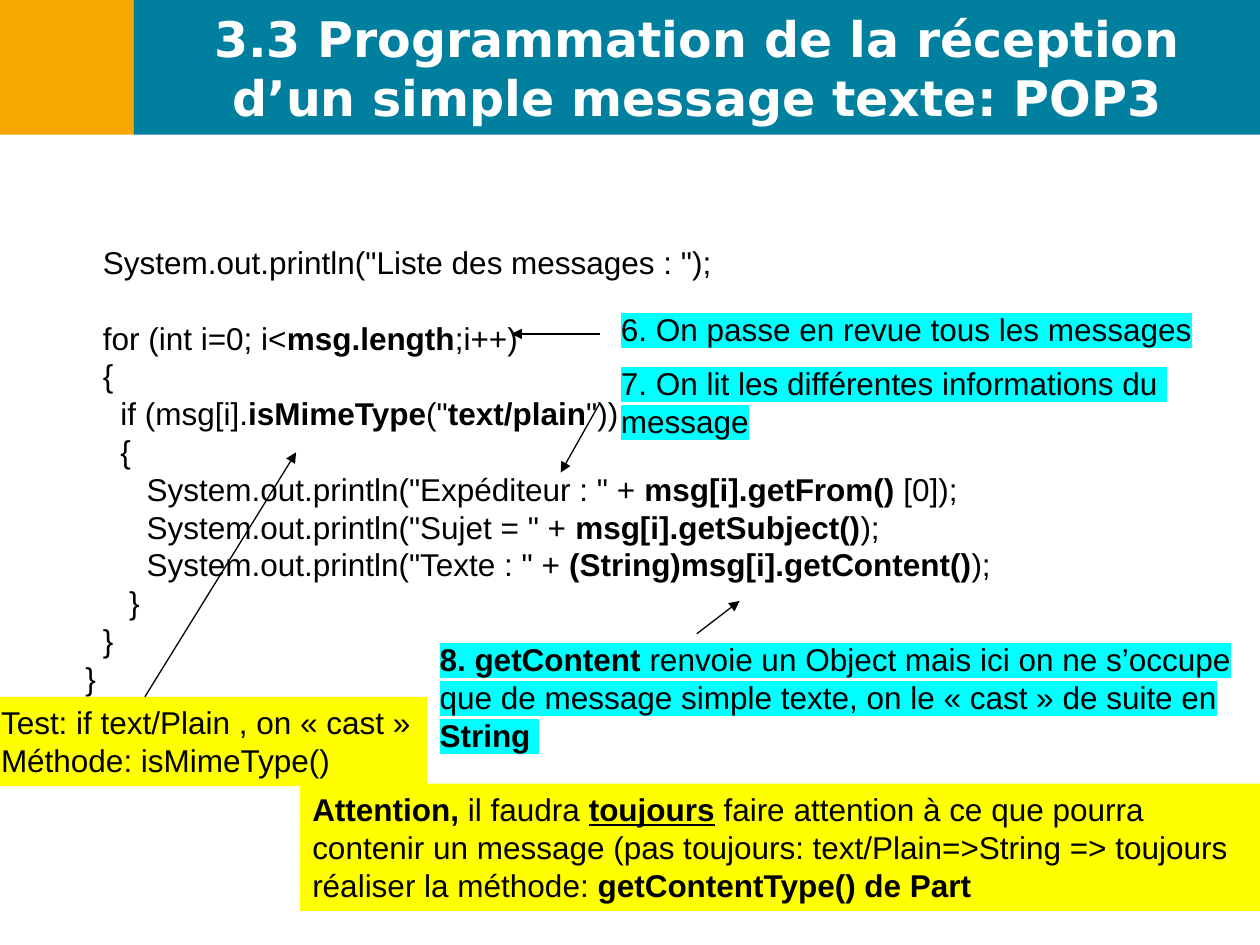
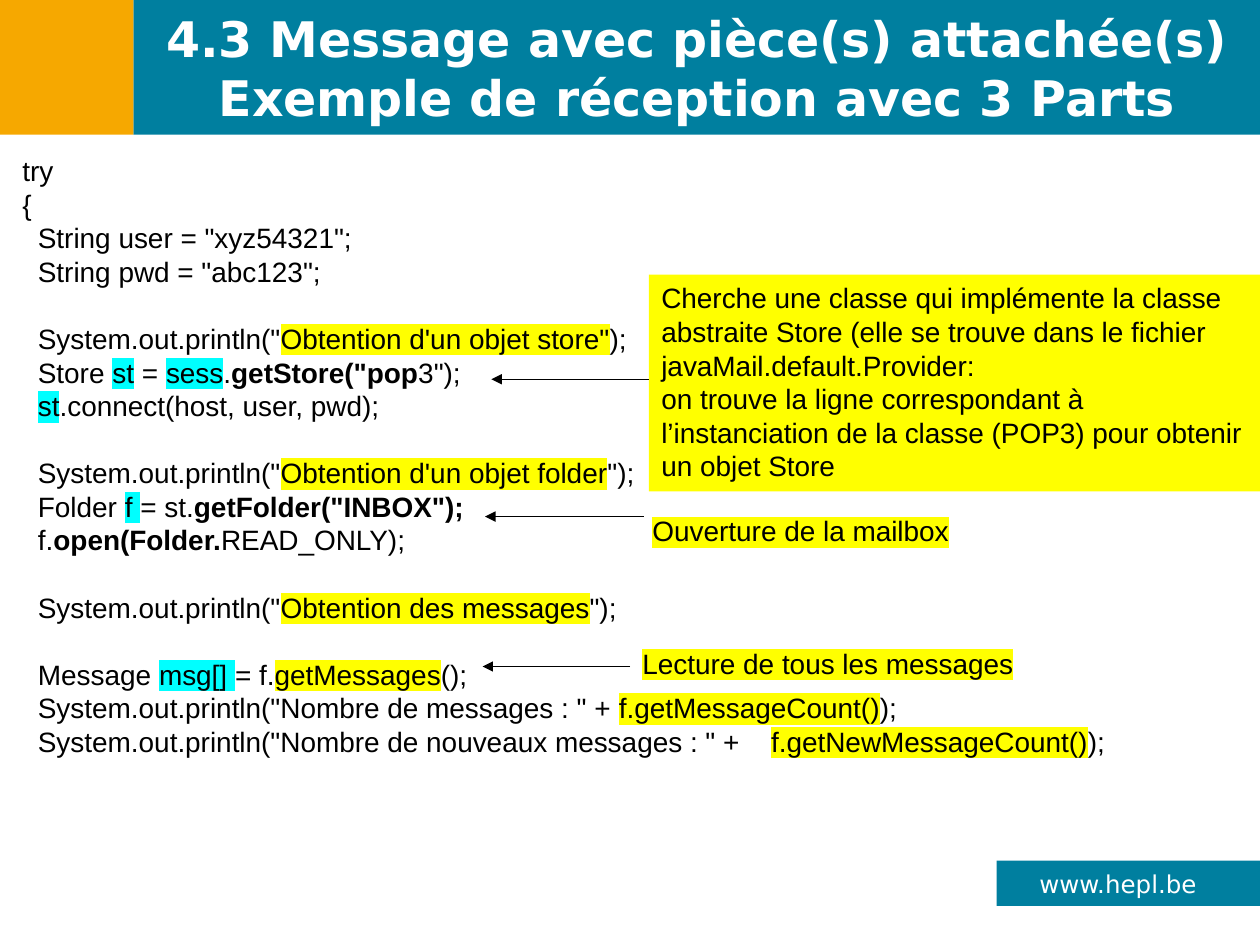
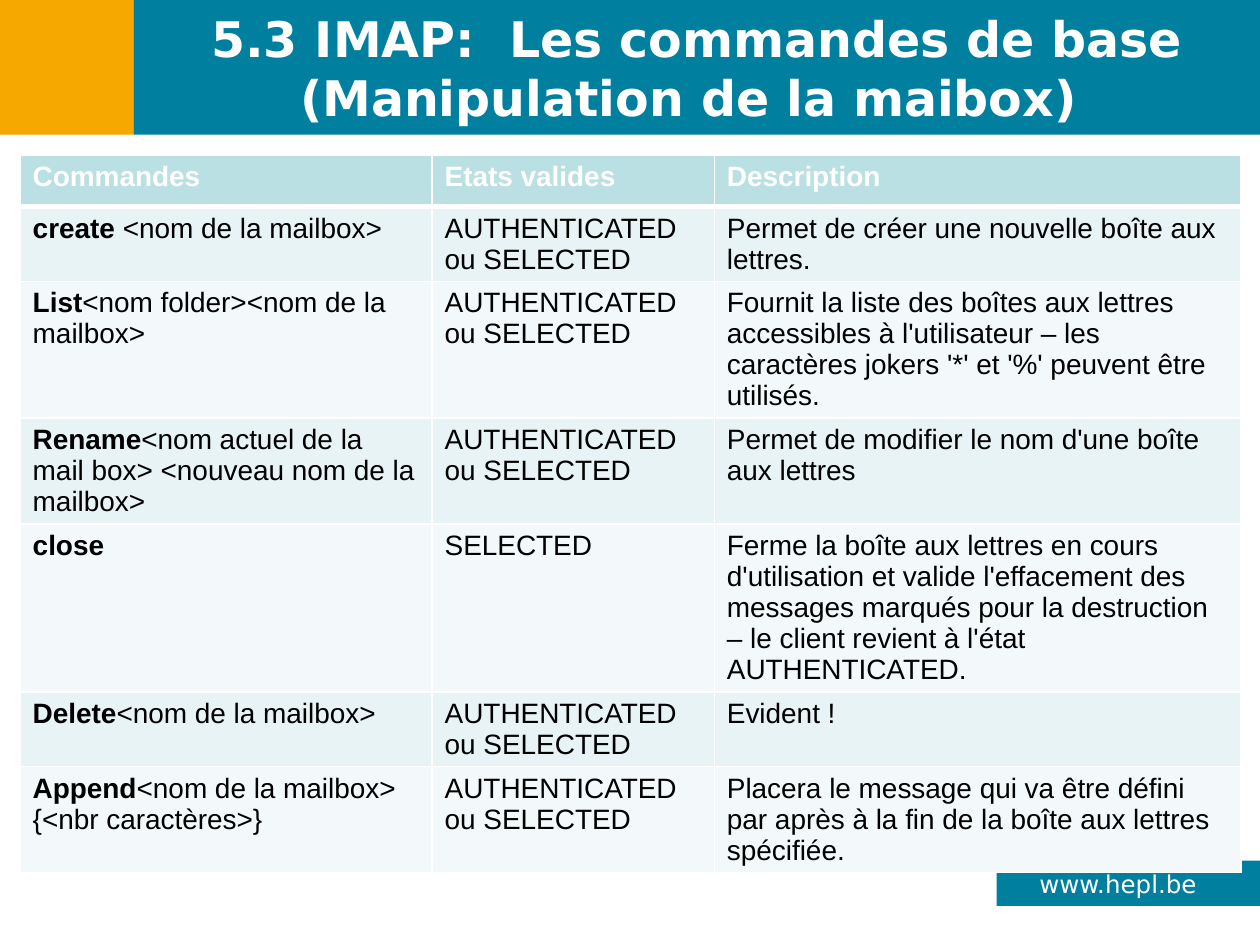
from lxml import etree
from pptx import Presentation
from pptx.dml.color import RGBColor
from pptx.enum.shapes import MSO_CONNECTOR, MSO_SHAPE
from pptx.enum.text import MSO_ANCHOR, MSO_AUTO_SIZE, PP_ALIGN
from pptx.oxml.ns import qn
from pptx.util import Inches, Pt

RECT = MSO_SHAPE.RECTANGLE
STRAIGHT = MSO_CONNECTOR.STRAIGHT
TOP, MIDDLE = MSO_ANCHOR.TOP, MSO_ANCHOR.MIDDLE
LEFT, CENTER = PP_ALIGN.LEFT, PP_ALIGN.CENTER
FIXED = MSO_AUTO_SIZE.NONE

COLORS = {
    "teal": "007F9F", "orange": "F6A800", "white": "FFFFFF", "black": "000000",
    "yellow": "FFFF00", "cyan": "00FFFF",
    "head": "BBE0E3", "odd": "E7F3F4", "even": "F3F9FA",
}
HIGHLIGHTS = {"c": "cyan", "y": "yellow"}
BODY_FONT, TITLE_FONT = "Arial", "DejaVu Sans"
BAND_H = 1.07
TITLE_AT = (1.06, 0, 8.94, BAND_H)
BANDS = [
    (TITLE_AT, "teal"),
    ((7.91, 6.83, 2.09, 0.36), "teal"),
    ((0, 0, 1.06, BAND_H), "orange"),
]
FOOTER_TEXT_AT = (8.15, 6.84, 1.73, 0.34)
FOOTER = "www.hepl.be"

# Each run is a string, or a pair (text, styles): b bold, u underlined, c or y highlighted.
CODE_SLIDES = [
    {
        "title": ["3.3 Programmation de la réception d’un simple message texte: POP3"],
        "footer": False,
        "size": 18,
        "code_at": (0.58, 1.88, 9.21, 3.74),
        "code": [
            ['  System.out.println("Liste des messages : ");'],
            [],
            ["  for (int i=0; i<", ("msg.length", "b"), ";i++)"],
            ["  {"],
            ["    if (msg[i].", ("isMimeType", "b"), '("', ("text/plain", "b"), '"))'],
            ["    {"],
            ['       System.out.println("Expéditeur : " + ', ("msg[i].getFrom() ", "b"), "[0]);"],
            ['       System.out.println("Sujet = " + ', ("msg[i].getSubject()", "b"), ");"],
            ['       System.out.println("Texte : " + ', ("(String)msg[i].getContent()", "b"), ");"],
            ["     }"],
            ["  }"],
            ["}"],
        ],
        "notes": [
            {"at": (4.83, 2.41, 4.77, 0.4), "wrap": False,
             "text": [[("6. On passe en revue tous les messages", "c")]]},
            {"at": (4.83, 2.84, 4.57, 0.71), "wrap": False,
             "text": [[("7. On lit les différentes informations du ", "c")], [("message", "c")]]},
            {"at": (3.39, 5.03, 6.61, 1.01),
             "text": [[("8. getContent", "bc"),
                       (" renvoie un Object mais ici on ne s’occupe que de message simple "
                        "texte, on le «\u00a0cast\u00a0» de suite en ", "c"),
                       ("String ", "bc")]]},
            {"at": (2.38, 6.22, 7.62, 1.01), "fill": "yellow",
             "text": [[("Attention,", "b"), " il faudra ", ("toujours", "bu"),
                       " faire attention à ce que pourra contenir un message (pas toujours: "
                       "text/Plain=>String => toujours réaliser la méthode: ",
                       ("getContentType() de Part", "b")]]},
            {"at": (-0.09, 5.53, 3.48, 0.71), "fill": "yellow", "wrap": False,
             "text": [["Test: if text/Plain , on «\u00a0cast\u00a0»"],
                      ["Méthode: isMimeType()"]]},
        ],
        "arrows": [
            ((4.76, 2.65), (4.06, 2.65)),
            ((4.76, 3.2), (4.45, 3.75)),
            ((5.53, 5.03), (5.87, 4.77)),
            ((1.15, 5.53), (2.35, 3.59)),
        ],
    },
    {
        "title": ["4.3 Message avec pièce(s) attachée(s)", "Exemple de réception avec 3 Parts"],
        "footer": True,
        "size": 16,
        "code_at": (0.08, 1.17, 9.53, 5.76),
        "code": [
            ["try"],
            ["{"],
            ['  String user = "xyz54321";'],
            ['  String pwd = "abc123";'],
            [],
            ['  System.out.println("', ("Obtention d'un objet store\"", "y"), ");"],
            ["  Store ", ("st", "c"), " = ", ("sess", "c"), ".", ('getStore("pop', "b"), '3");'],
            ["  ", ("st", "c"), ".connect(host, user, pwd);"],
            [],
            ['  System.out.println("', ("Obtention d'un objet folder", "y"), '");'],
            ["  Folder ", ("f ", "c"), "= st.", ('getFolder("INBOX");', "b")],
            ["  f.", ("open(Folder.", "b"), "READ_ONLY);"],
            [],
            ['  System.out.println("', ("Obtention des messages", "y"), '");'],
            [],
            ["  Message ", ("msg[] ", "c"), "= f.", ("getMessages", "y"), "();"],
            ['  System.out.println("Nombre de messages : " + ',
             ("f.getMessageCount()", "y"), ");"],
            ['  System.out.println("Nombre de nouveaux messages : " +    ',
             ("f.getNewMessageCount()", "y"), ");"],
        ],
        "notes": [
            {"at": (5.15, 2.18, 4.88, 1.72), "fill": "yellow",
             "text": [[("Cherche une classe qui implémente la classe abstraite Store (elle se "
                        "trouve dans le fichier javaMail.default.Provider:", "y")],
                      [("on trouve la ligne correspondant à l’instanciation de la classe "
                        "(POP3) pour obtenir un objet Store", "y")]]},
            {"at": (5.08, 4.03, 2.58, 0.37), "wrap": False,
             "text": [[("Ouverture de la mailbox", "y")]]},
            {"at": (5, 5.08, 3.18, 0.37), "wrap": False,
             "text": [[("Lecture de tous les messages", "y")]]},
        ],
        "arrows": [
            ((5.15, 3.01), (3.9, 3.01)),
            ((5.11, 4.1), (3.85, 4.1)),
            ((5, 5.29), (3.83, 5.29)),
        ],
    },
]

TABLE_TITLE = ["5.3 IMAP:  Les commandes de base", "(Manipulation de la maibox) "]
TABLE_AT = (0.16, 1.23)
COL_WIDTHS = [3.27, 2.24, 4.18]
ROW_H = 0.41
TABLE_SIZE, TABLE_LEADING = 16, 17.75
BOTH_STATES = "AUTHENTICATED ou SELECTED"
HEADER = [[(name, "b")] for name in ("Commandes", "Etats valides", "Description")]
COMMANDS = [
    ("create", " <nom de la mailbox>", BOTH_STATES,
     "Permet de créer une nouvelle boîte aux lettres."),
    ("List", "<nom folder><nom de la mailbox>", BOTH_STATES,
     "Fournit la liste des boîtes aux lettres accessibles à l'utilisateur – les caractères "
     "jokers '*' et '%' peuvent être utilisés."),
    ("Rename", "<nom actuel de la mail box> <nouveau nom de la mailbox>", BOTH_STATES,
     "Permet de modifier le nom d'une boîte aux lettres"),
    ("close", "", "SELECTED",
     "Ferme la boîte aux lettres en cours d'utilisation et valide l'effacement des messages "
     "marqués pour la destruction – le client revient à l'état AUTHENTICATED."),
    ("Delete", "<nom de la mailbox>", BOTH_STATES, "Evident !"),
    ("Append", "<nom de la mailbox> {<nbr caractères>}", BOTH_STATES,
     "Placera le message qui va être défini par après à la fin de la boîte aux lettres "
     "spécifiée."),
]


def rgb(name):
    return RGBColor.from_string(COLORS[name])


def inches(values):
    return [Inches(v) for v in values]


def add_run(p, text, size, styles="", color="black", font=BODY_FONT):
    r = p.add_run()
    r.text = text
    r.font.size = Pt(size)
    r.font.bold = "b" in styles
    r.font.underline = "u" in styles
    r.font.color.rgb = rgb(color)
    for key, name in HIGHLIGHTS.items():
        if key in styles:
            mark = etree.SubElement(r.font._element, qn("a:highlight"))
            etree.SubElement(mark, qn("a:srgbClr"), val=COLORS[name])
    r.font.name = font


def add_runs(p, runs, size, color="black"):
    for run in runs:
        text, styles = (run, "") if isinstance(run, str) else run
        add_run(p, text, size, styles, color)


def fill_text(tf, lines, size):
    leading = Pt(1.2 * size)
    p, gap = None, 0
    for runs in lines:
        if not runs:
            gap += leading
            continue
        p = tf.add_paragraph() if p is not None else tf.paragraphs[0]
        p.alignment = LEFT
        p.line_spacing = leading
        if gap:
            p.space_before = gap
        add_runs(p, runs, size)
        gap = 0


def add_rect(s, at, color):
    sp = s.shapes.add_shape(RECT, *inches(at))
    sp.shadow.inherit = False
    sp.fill.solid()
    sp.fill.fore_color.rgb = rgb(color)
    sp.line.fill.background()
    return sp


def add_box(s, at, lines, size, fill=None, wrap=True):
    sp = add_rect(s, at, fill) if fill else s.shapes.add_textbox(*inches(at))
    tf = sp.text_frame
    tf.auto_size = FIXED
    tf.word_wrap = wrap
    tf.vertical_anchor = TOP
    fill_text(tf, lines, size)


def add_arrow(s, start, end):
    line = s.shapes.add_connector(STRAIGHT, *inches(start + end))
    line.line.color.rgb = rgb("black")
    line.line.width = Pt(0.75)
    etree.SubElement(line.line._get_or_add_ln(), qn("a:tailEnd"), type="triangle")
    etree.SubElement(line.element.spPr, qn("a:effectLst"))


def add_slide(prs, title_lines, footer):
    s = prs.slides.add_slide(prs.slide_layouts[5])
    title = s.shapes.title
    for at, color in BANDS:
        title.element.addprevious(add_rect(s, at, color).element)
    title.left, title.top, title.width, title.height = inches(TITLE_AT)
    tf = title.text_frame
    tf.auto_size = FIXED
    tf.word_wrap = True
    tf.vertical_anchor = MIDDLE
    p = tf.paragraphs[0]
    p.alignment = CENTER
    p.line_spacing = Pt(1.2 * 28)
    for i, text in enumerate(title_lines):
        if i:
            p.add_line_break()
        add_run(p, text, 28, "b", "white", TITLE_FONT)
    if footer:
        tf = s.shapes.add_textbox(*inches(FOOTER_TEXT_AT)).text_frame
        tf.word_wrap = True
        tf.vertical_anchor = MIDDLE
        add_run(tf.paragraphs[0], FOOTER, 14, "", "white", TITLE_FONT)
    return s


def add_code_slide(prs, data):
    s = add_slide(prs, data["title"], data["footer"])
    size = data["size"]
    add_box(s, data["code_at"], data["code"], size)
    for n in data["notes"]:
        add_box(s, n["at"], n["text"], size, n.get("fill"), n.get("wrap", True))
    for start, end in data["arrows"]:
        add_arrow(s, start, end)


def set_borders(cell, row):
    tc_pr = cell._tc.get_or_add_tcPr()
    for side in "LRTB":
        thick = (row, side) in ((0, "B"), (1, "T"))
        ln = etree.SubElement(tc_pr, qn("a:ln" + side), w=str(Pt(3 if thick else 1)))
        fill = etree.SubElement(ln, qn("a:solidFill"))
        etree.SubElement(fill, qn("a:srgbClr"), val=COLORS["white"])


def add_table_slide(prs):
    s = add_slide(prs, TABLE_TITLE, True)
    rows = [HEADER]
    for command, args, states, description in COMMANDS:
        name = [(command, "b"), args] if args else [(command, "b")]
        rows.append([name, [states], [description]])
    size = (sum(COL_WIDTHS), ROW_H * len(rows))
    table = s.shapes.add_table(len(rows), len(COL_WIDTHS), *inches(TABLE_AT + size)).table
    for col, width in zip(table.columns, COL_WIDTHS):
        col.width = Inches(width)
    for i, row in enumerate(rows):
        table.rows[i].height = Inches(ROW_H)
        fill = "head" if i == 0 else "odd" if i % 2 else "even"
        for j, runs in enumerate(row):
            cell = table.cell(i, j)
            set_borders(cell, i)
            cell.fill.solid()
            cell.fill.fore_color.rgb = rgb(fill)
            p = cell.text_frame.paragraphs[0]
            p.line_spacing = Pt(TABLE_LEADING)
            add_runs(p, runs, TABLE_SIZE, "black" if i else "white")


def main():
    prs = Presentation()
    prs.slide_width, prs.slide_height = Inches(10), Inches(7.5)
    for data in CODE_SLIDES:
        add_code_slide(prs, data)
    add_table_slide(prs)
    prs.save("out.pptx")


if __name__ == "__main__":
    main()
